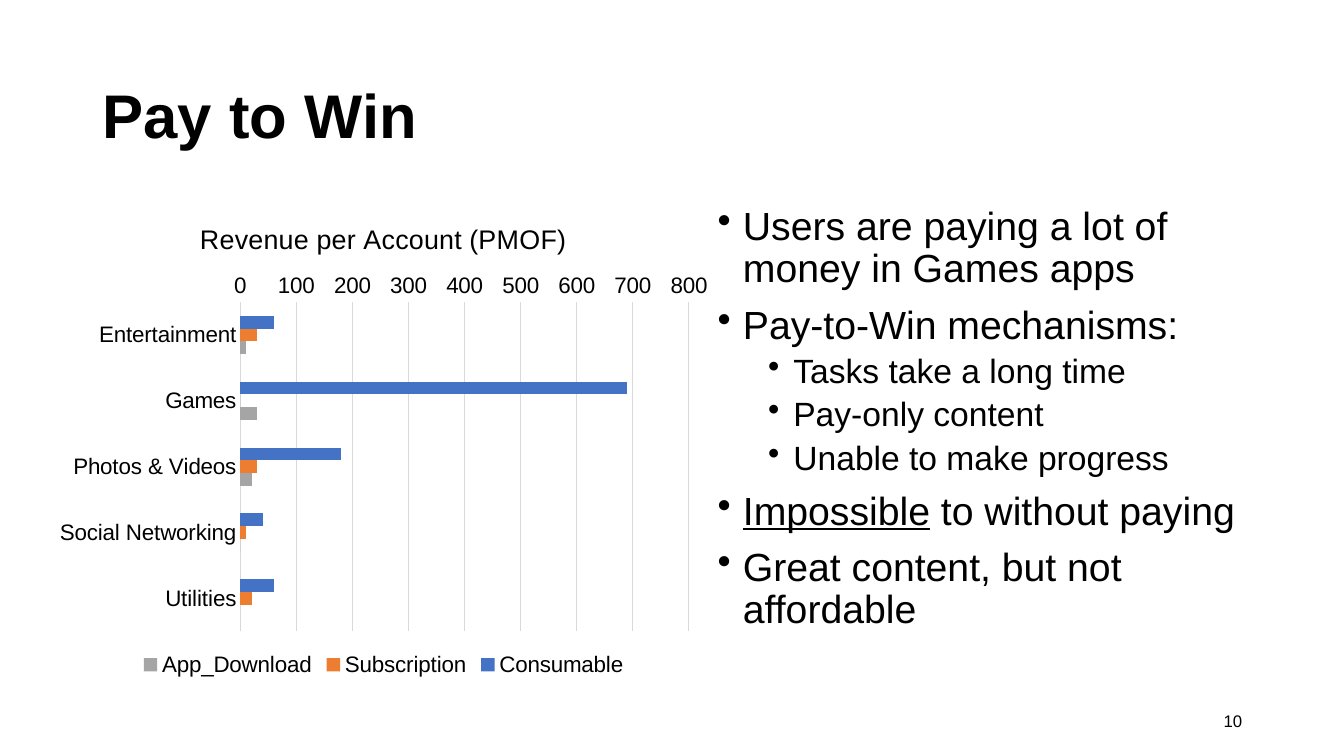
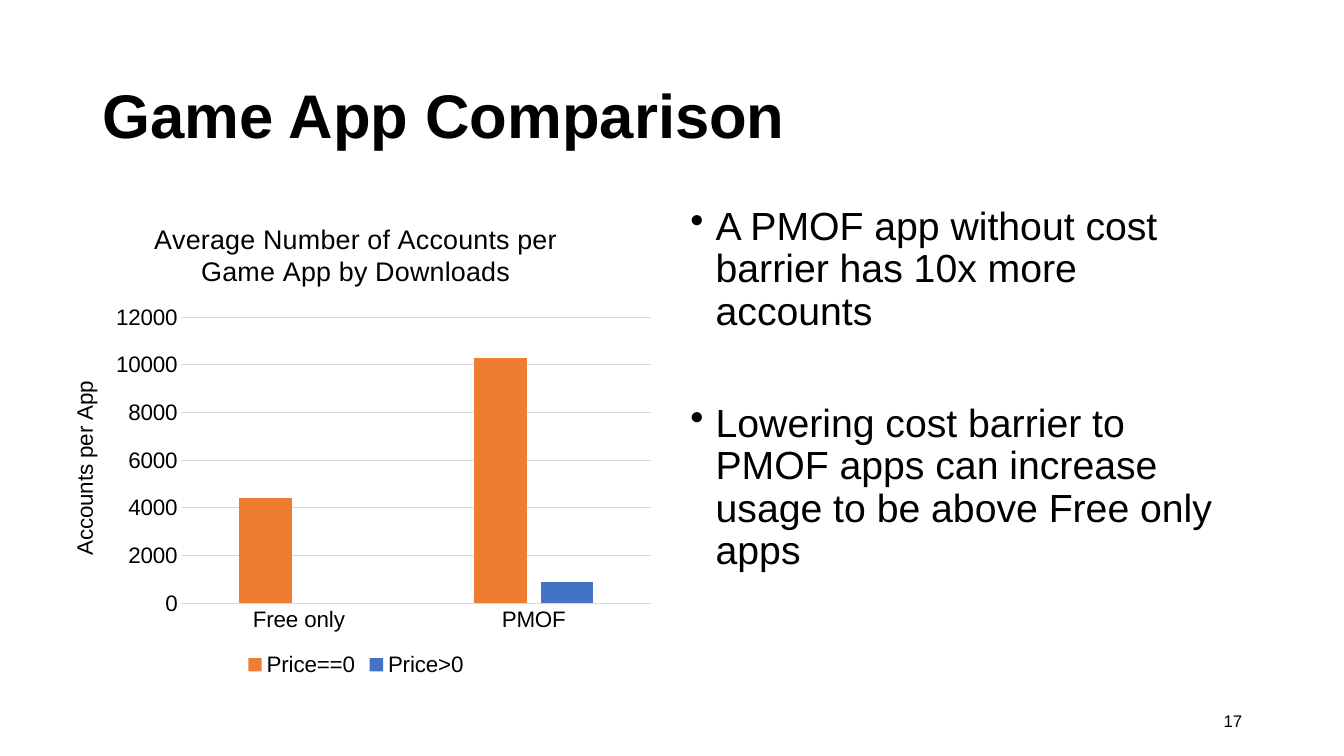
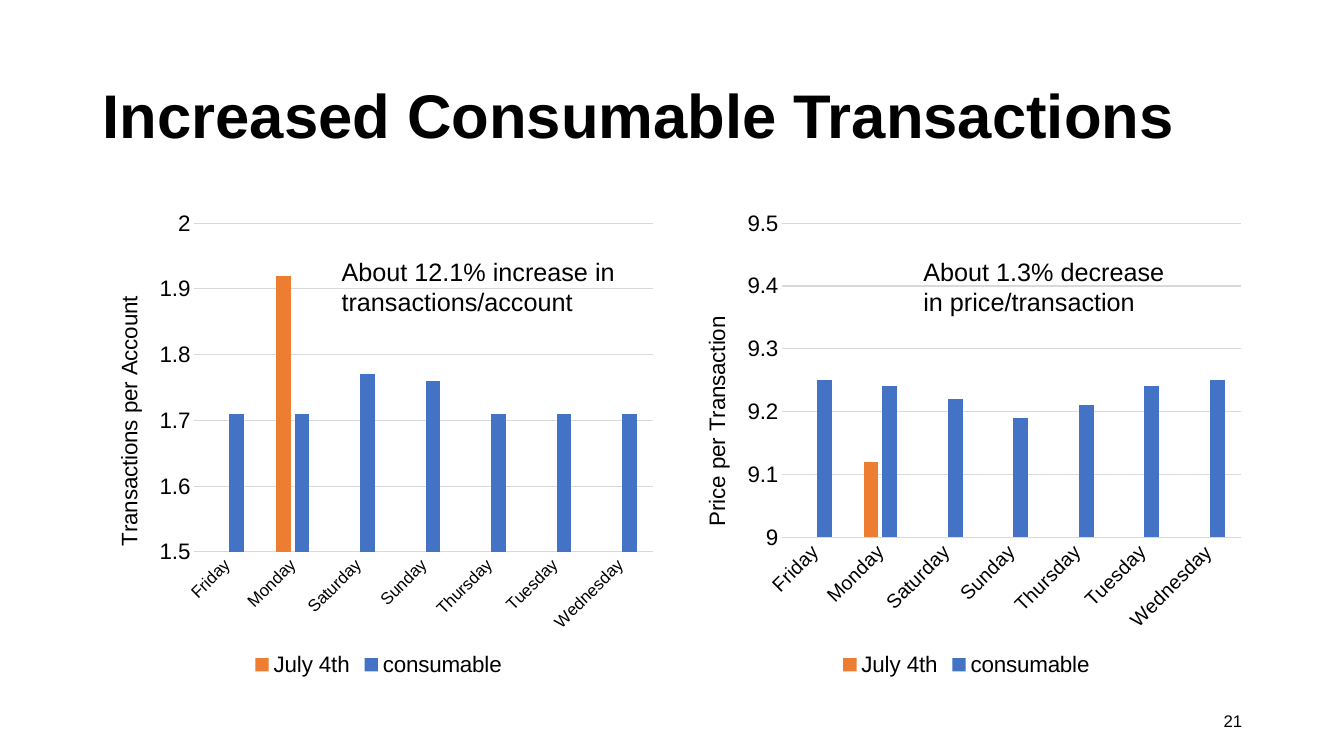
from lxml import etree
from pptx import Presentation
from pptx.chart.data import CategoryChartData
from pptx.dml.color import RGBColor
from pptx.enum.chart import XL_CHART_TYPE, XL_LEGEND_POSITION, XL_TICK_MARK
from pptx.enum.text import MSO_ANCHOR, PP_ALIGN
from pptx.oxml.ns import qn
from pptx.util import Pt

# Shared style
SCALE = 9144  # EMU per px, 100 px to the inch
FONT = "Arial"
BLACK = RGBColor(0x00, 0x00, 0x00)
GRAY_LINE = RGBColor(0xD9, 0xD9, 0xD9)
BLUE = RGBColor(0x44, 0x72, 0xC4)
ORANGE = RGBColor(0xED, 0x7D, 0x31)
GRAY = RGBColor(0xA5, 0xA5, 0xA5)
BAR = XL_CHART_TYPE.BAR_CLUSTERED
COLUMN = XL_CHART_TYPE.COLUMN_CLUSTERED
BOTTOM = XL_LEGEND_POSITION.BOTTOM
NO_TICK = XL_TICK_MARK.NONE
MIDDLE, TOP = MSO_ANCHOR.MIDDLE, MSO_ANCHOR.TOP
LEFT, RIGHT = PP_ALIGN.LEFT, PP_ALIGN.RIGHT

SLIDE_SIZE = (1333, 750)
TITLE_BOX = (92, 40, 1150, 145)
NUMBER_BOX = (942, 695, 300, 40)
BODY_TOP, BODY_HEIGHT = 200, 476
NOTE_TOP, NOTE_HEIGHT = 249, 71
CHART_SIZE, CHART_TITLE_SIZE = 16, 19.2
# Per bullet level: left margin px, text size, space before
LEVELS = [(25, 28, 10), (75, 24, 5)]
HANGING = 25

# Content; a bullet is (level, space before or None, [(text, underlined)])
DAYS = ["Friday", "Monday", "Saturday", "Sunday", "Thursday", "Tuesday", "Wednesday"]


def day_chart(left, axis_title, scale, label_size, holiday, regular):
    return dict(
        kind=COLUMN, left=left, width=567, categories=DAYS, axis_title=axis_title,
        scale=scale, label_size=label_size, slanted=True,
        series=[("July 4th", ORANGE, [None, holiday] + [None] * 5),
                ("consumable", BLUE, regular)])


SLIDES = [
    dict(
        title="Pay to Win", number="10",
        charts=[dict(
            kind=BAR, left=46, width=669, title="Revenue per Account (PMOF)",
            categories=["Entertainment", "Games", "Photos & Videos",
                        "Social Networking", "Utilities"],
            series=[("Consumable", BLUE, [60, 690, 180, 40, 60]),
                    ("Subscription", ORANGE, [30, 0, 30, 10, 20]),
                    ("App_Download", GRAY, [10, 30, 20, 0, None])])],
        body=(702, 539, [
            (0, None, [("Users are paying a lot of money in Games apps", False)]),
            (0, None, [("Pay-to-Win mechanisms:", False)]),
            (1, None, [("Tasks take a long time", False)]),
            (1, None, [("Pay-only content", False)]),
            (1, None, [("Unable to make progress", False)]),
            (0, None, [("Impossible", True), (" to without paying", False)]),
            (0, None, [("Great content, but not affordable", False)])])),
    dict(
        title="Game App Comparison", number="17",
        charts=[dict(
            kind=COLUMN, left=48, width=610, axis_title="Accounts per App",
            title="Average Number of Accounts per Game App by Downloads",
            categories=["Free only", "PMOF"],
            series=[("Price==0", ORANGE, [4400, 10300]),
                    ("Price>0", BLUE, [None, 900])])],
        body=(675, 567, [
            (0, None, [("A PMOF app without cost barrier has 10x more accounts", False)]),
            (0, 50, [("Lowering cost barrier to PMOF apps can increase usage "
                      "to be above Free only apps", False)])])),
    dict(
        title="Increased Consumable Transactions", number="21",
        charts=[
            day_chart(92, "Transactions per Account", (1.5, 2, 0.1), 12, 1.92,
                      [1.71, 1.71, 1.77, 1.76, 1.71, 1.71, 1.71]),
            day_chart(675, "Price per Transaction", (9, 9.5, 0.1), 14, 9.12,
                      [9.25, 9.24, 9.22, 9.19, 9.21, 9.24, 9.25])],
        notes=[(906, 267, "About 1.3% decrease in price/transaction"),
               (329, 294, "About 12.1% increase in transactions/account")]),
]


def emu(box):
    return [length * SCALE for length in box]


def set_font(font, size, bold=False):
    font.name, font.size, font.bold = FONT, Pt(size), bold
    font.color.rgb = BLACK


def add_run(paragraph, text, size, bold=False):
    run = paragraph.add_run()
    run.text = text
    set_font(run.font, size, bold)
    return run


def add_frame(slide, box, anchor=TOP):
    frame = slide.shapes.add_textbox(*emu(box)).text_frame
    frame.word_wrap = True
    frame.vertical_anchor = anchor
    return frame


def add_line(slide, box, text, size, bold=False, anchor=TOP, align=LEFT):
    paragraph = add_frame(slide, box, anchor).paragraphs[0]
    paragraph.alignment = align
    add_run(paragraph, text, size, bold)


def add_bullets(slide, left, width, bullets):
    frame = add_frame(slide, (left, BODY_TOP, width, BODY_HEIGHT))
    for index, (level, space, runs) in enumerate(bullets):
        paragraph = frame.add_paragraph() if index else frame.paragraphs[0]
        margin, size, level_space = LEVELS[level]
        properties = paragraph._p.get_or_add_pPr()
        properties.set("marL", str(margin * SCALE))
        properties.set("indent", str(-HANGING * SCALE))
        etree.SubElement(properties, qn("a:buChar")).set("char", "•")
        paragraph.level = level
        paragraph.line_spacing = 0.9
        if index:
            paragraph.space_before = Pt(space or level_space)
        for text, underlined in runs:
            run = add_run(paragraph, text, size)
            if underlined:
                run.font.underline = True


def set_line(line):
    line.color.rgb = GRAY_LINE
    line.width = Pt(0.75)


def add_chart(slide, content):
    data = CategoryChartData()
    data.categories = content["categories"]
    for name, _, values in content["series"]:
        data.add_series(name, values)
    box = (content["left"], BODY_TOP, content["width"], BODY_HEIGHT)
    chart = slide.shapes.add_chart(content["kind"], *emu(box), data).chart
    set_font(chart.font, CHART_SIZE)

    # Title and legend
    chart.has_title = "title" in content
    if chart.has_title:
        add_run(chart.chart_title.text_frame.paragraphs[0], content["title"],
                CHART_TITLE_SIZE)
        chart.chart_title.include_in_layout = False
    chart.has_legend = True
    chart.legend.position = BOTTOM
    chart.legend.include_in_layout = False
    set_font(chart.legend.font, CHART_SIZE)

    # Bars
    plot = chart.plots[0]
    plot.vary_by_categories = False
    plot.gap_width = 219
    plot.overlap = 0 if content["kind"] == BAR else -27
    for series, (_, color, _) in zip(plot.series, content["series"]):
        series.format.fill.solid()
        series.format.fill.fore_color.rgb = color
        series.invert_if_negative = False

    # Axes
    categories, values = chart.category_axis, chart.value_axis
    for axis in (categories, values):
        axis.major_tick_mark = axis.minor_tick_mark = NO_TICK
    set_font(categories.tick_labels.font, content.get("label_size", CHART_SIZE))
    set_font(values.tick_labels.font, CHART_SIZE)
    categories.has_major_gridlines = False
    categories.reverse_order = content["kind"] == BAR
    set_line(categories.format.line)
    if content.get("slanted"):
        body = categories._element.find(qn("c:txPr")).find(qn("a:bodyPr"))
        body.set("rot", "-2700000")
        body.set("vert", "horz")
    values.format.line.fill.background()
    values.has_major_gridlines = True
    set_line(values.major_gridlines.format.line)
    values.tick_labels.number_format = "General"
    values.tick_labels.number_format_is_linked = False
    if "scale" in content:
        values.minimum_scale, values.maximum_scale, values.major_unit = content["scale"]
    if "axis_title" in content:
        add_run(values.axis_title.text_frame.paragraphs[0], content["axis_title"],
                CHART_SIZE)


def main():
    presentation = Presentation()
    presentation.slide_width, presentation.slide_height = emu(SLIDE_SIZE)
    blank = presentation.slide_layouts[6]
    for content in SLIDES:
        slide = presentation.slides.add_slide(blank)
        add_line(slide, TITLE_BOX, content["title"], 44, bold=True, anchor=MIDDLE)
        for chart in content["charts"]:
            add_chart(slide, chart)
        if "body" in content:
            add_bullets(slide, *content["body"])
        for left, width, text in content.get("notes", []):
            add_line(slide, (left, NOTE_TOP, width, NOTE_HEIGHT), text, 18)
        add_line(slide, NUMBER_BOX, content["number"], 12, anchor=MIDDLE, align=RIGHT)
    presentation.save("out.pptx")


if __name__ == "__main__":
    main()
